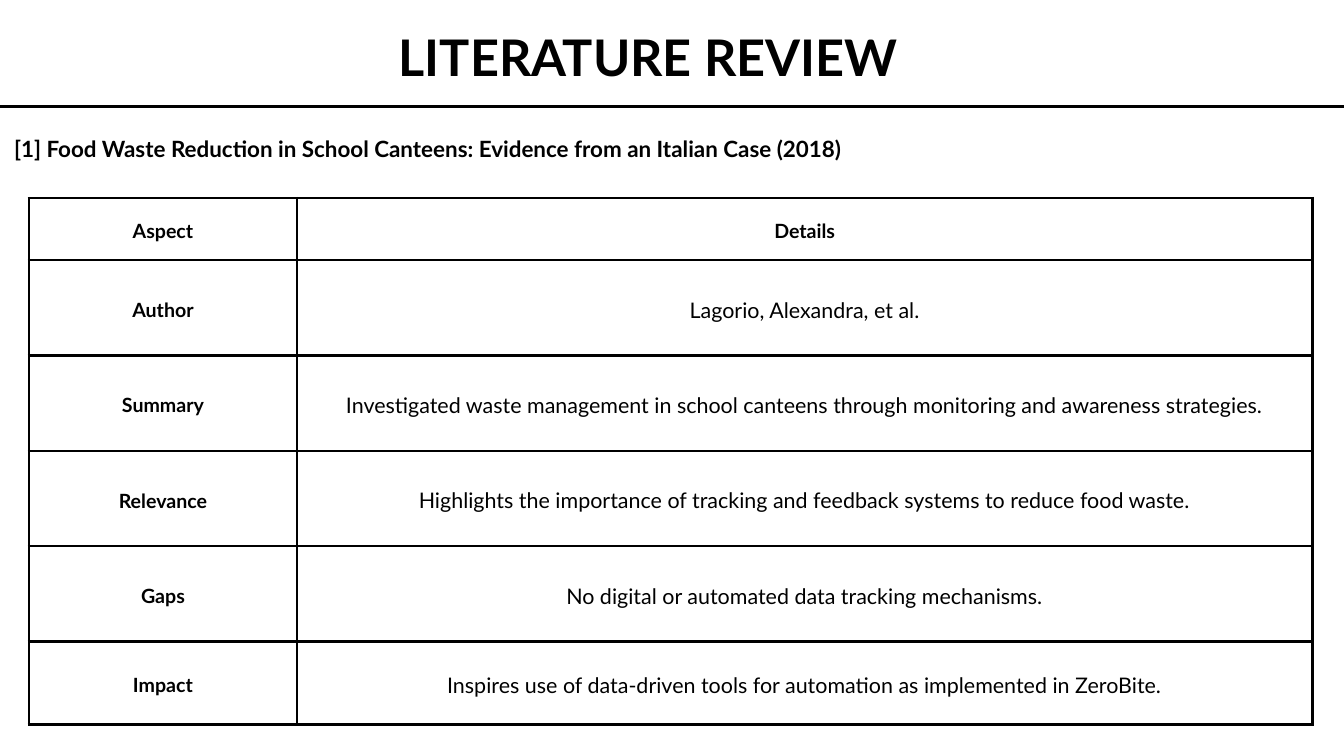
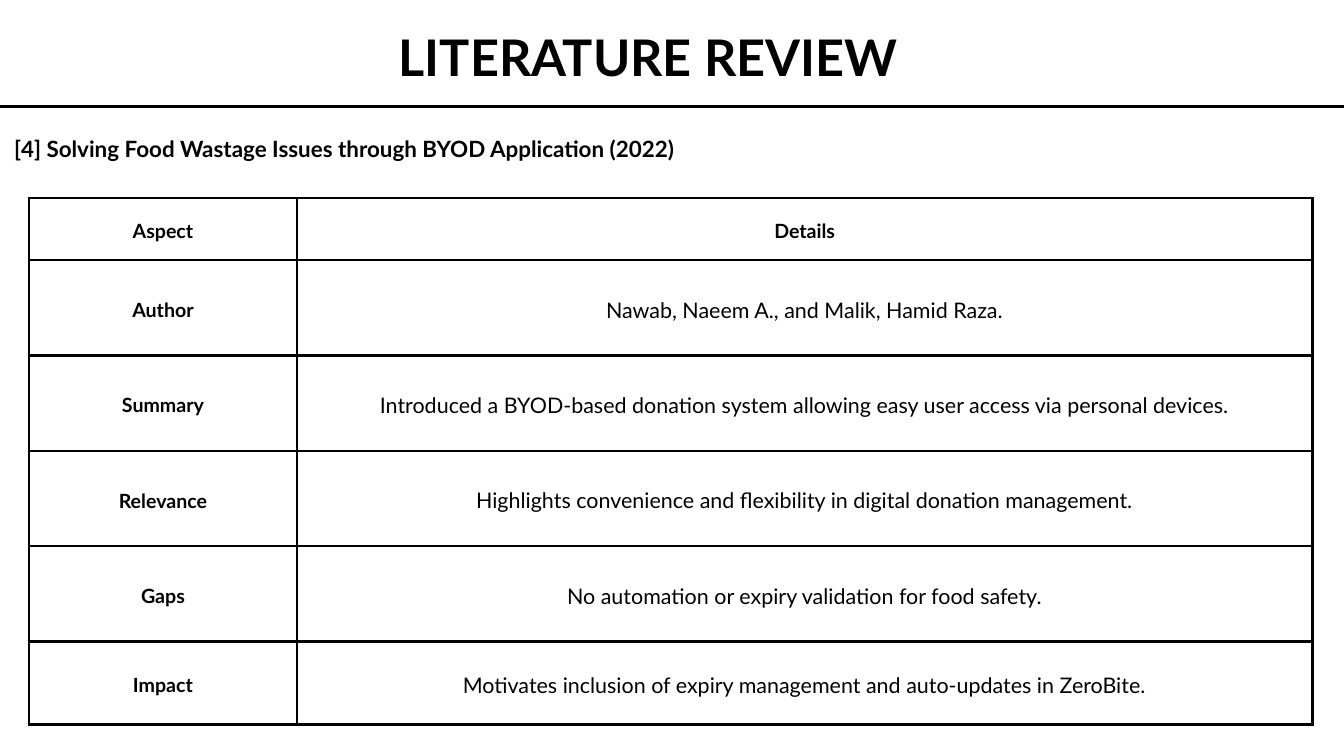
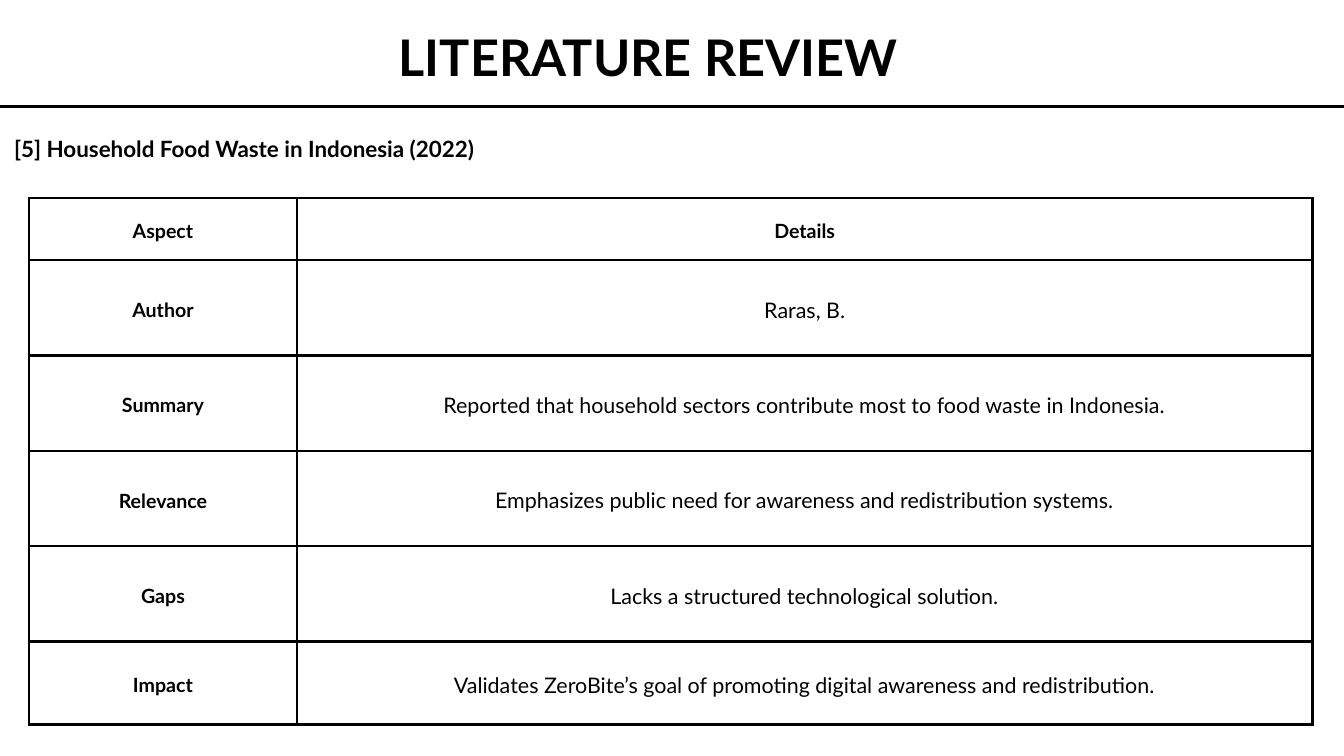
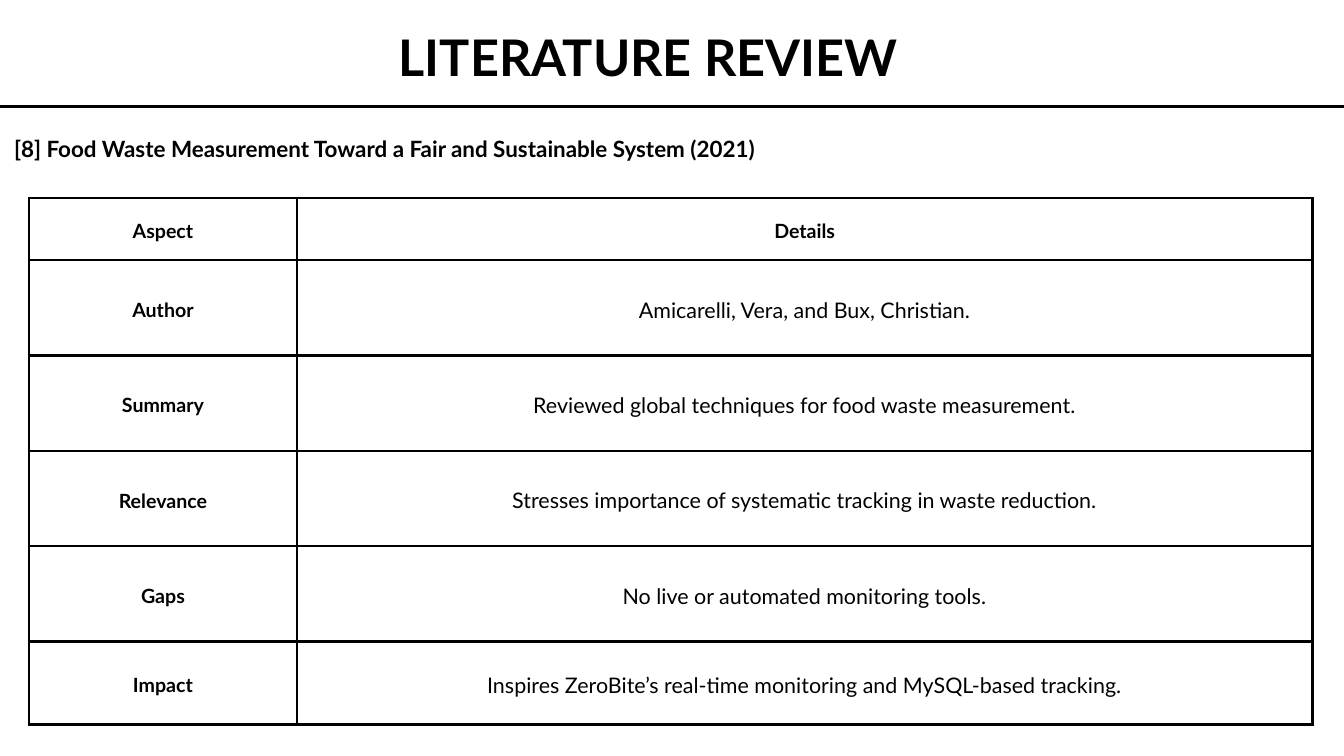
from lxml.etree import SubElement as Sub
from pptx import Presentation
from pptx.dml.color import RGBColor
from pptx.enum.shapes import MSO_CONNECTOR as Link
from pptx.enum.text import MSO_ANCHOR as Anchor, MSO_AUTO_SIZE as Fit, PP_ALIGN as Align
from pptx.oxml.ns import qn
from pptx.util import Inches, Pt

WIDE, HIGH = Inches(20), Inches(11.25)
COL, ROW = WIDE / 20, HIGH / 11.25
FONT, INK, PAPER = "Lato", "000000", "FFFFFF"
RULE = 3
LEAD = 1.4
PAD = 0.21
COLS = [3.99, 15.11]
ROWS = [0.92] + [1.42] * 4 + [1.23]
LABELS = ["Author", "Summary", "Relevance", "Gaps", "Impact"]
TITLE = "LITERATURE REVIEW"

PAPERS = {
    "[1] Food Waste Reduction in School Canteens: Evidence from an Italian Case (2018)": [
        "Lagorio, Alexandra, et al.",
        "Investigated waste management in school canteens through monitoring and awareness strategies.",
        "Highlights the importance of tracking and feedback systems to reduce food waste.",
        "No digital or automated data tracking mechanisms.",
        "Inspires use of data-driven tools for automation as implemented in ZeroBite.",
    ],
    "[4] Solving Food Wastage Issues through BYOD Application (2022)": [
        "Nawab, Naeem A., and Malik, Hamid Raza.",
        "Introduced a BYOD-based donation system allowing easy user access via personal devices.",
        "Highlights convenience and flexibility in digital donation management.",
        "No automation or expiry validation for food safety.",
        "Motivates inclusion of expiry management and auto-updates in ZeroBite.",
    ],
    "[5] Household Food Waste in Indonesia (2022)": [
        "Raras, B.",
        "Reported that household sectors contribute most to food waste in Indonesia.",
        "Emphasizes public need for awareness and redistribution systems.",
        "Lacks a structured technological solution.",
        "Validates ZeroBite’s goal of promoting digital awareness and redistribution.",
    ],
    "[8] Food Waste Measurement Toward a Fair and Sustainable System (2021)": [
        "Amicarelli, Vera, and Bux, Christian.",
        "Reviewed global techniques for food waste measurement.",
        "Stresses importance of systematic tracking in waste reduction.",
        "No live or automated monitoring tools.",
        "Inspires ZeroBite’s real-time monitoring and MySQL-based tracking.",
    ],
}


def shade(code):
    return RGBColor.from_string(code)


def across(cols):
    return round(cols * COL)


def down(rows):
    return round(rows * ROW)


def box(x, y, w, h):
    return across(x), down(y), across(w), down(h)


def write(frame, text, size, align, bold=True):
    frame.text = text
    para = frame.paragraphs[0]
    para.alignment = align
    para.line_spacing = Pt(round(size * LEAD, 1))
    font = para.runs[0].font
    font.name, font.size, font.bold = FONT, Pt(size), bold
    font.color.rgb = shade(INK)


def add_text(slide, area, text, size, align):
    frame = slide.shapes.add_textbox(*box(*area)).text_frame
    frame.word_wrap = True
    frame.auto_size = Fit.SHAPE_TO_FIT_TEXT
    frame.margin_left = frame.margin_right = 0
    frame.margin_top = frame.margin_bottom = 0
    write(frame, text, size, align)


def add_rule(slide, x, end, y):
    line = slide.shapes.add_connector(
        Link.STRAIGHT, across(x), down(y), across(end), down(y))
    line.line.color.rgb = shade(INK)
    line.line.width = Pt(RULE)
    Sub(line.element.spPr, qn("a:effectLst"))


def edge(cell):
    props = cell._tc.get_or_add_tcPr()
    for side in "LRTB":
        line = Sub(props, qn(f"a:ln{side}"), w=str(Pt(RULE)))
        Sub(Sub(line, qn("a:solidFill")), qn("a:srgbClr"), val=INK)


def fill_cell(cell, text, head):
    cell.vertical_anchor = Anchor.MIDDLE
    cell.margin_left = cell.margin_right = across(PAD)
    cell.margin_top = cell.margin_bottom = down(PAD)
    write(cell.text_frame, text, 21 if head else 23, Align.CENTER, head)
    edge(cell)
    cell.fill.background()


def add_grid(slide, x, y, data):
    area = box(x, y, sum(COLS), sum(ROWS))
    table = slide.shapes.add_table(len(ROWS), len(COLS), *area).table
    table.horz_banding = False
    for col, size in zip(table.columns, COLS):
        col.width = across(size)
    for row, size in zip(table.rows, ROWS):
        row.height = down(size)
    for r, line in enumerate(data):
        for c, text in enumerate(line):
            fill_cell(table.cell(r, c), text, r == 0 or c == 0)


def add_review(deck, topic, notes):
    slide = deck.slides.add_slide(deck.slide_layouts[6])
    slide.background.fill.solid()
    slide.background.fill.fore_color.rgb = shade(PAPER)
    add_rule(slide, -0.59, 20.59, 1.59)
    add_grid(slide, 0.43, 2.95, [("Aspect", "Details"), *zip(LABELS, notes)])
    add_text(slide, (5.75, 0.24, 7.79, 1.17), TITLE, 54, Align.CENTER)
    add_text(slide, (0.21, 1.95, 19.53, 0.53), topic, 24, Align.LEFT)


def main():
    deck = Presentation()
    deck.slide_width, deck.slide_height = WIDE, HIGH
    for topic, notes in PAPERS.items():
        add_review(deck, topic, notes)
    deck.save("out.pptx")


if __name__ == "__main__":
    main()
